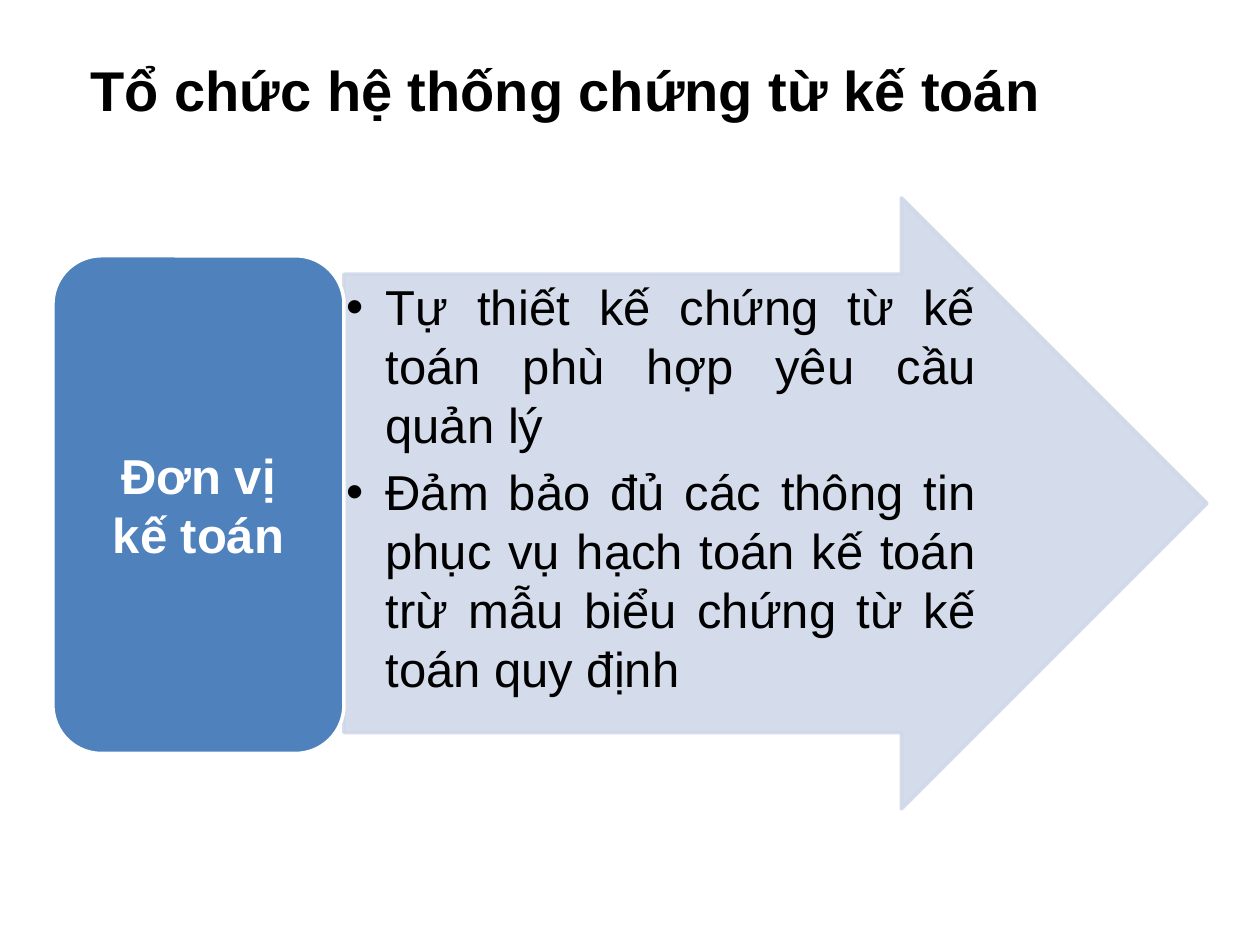
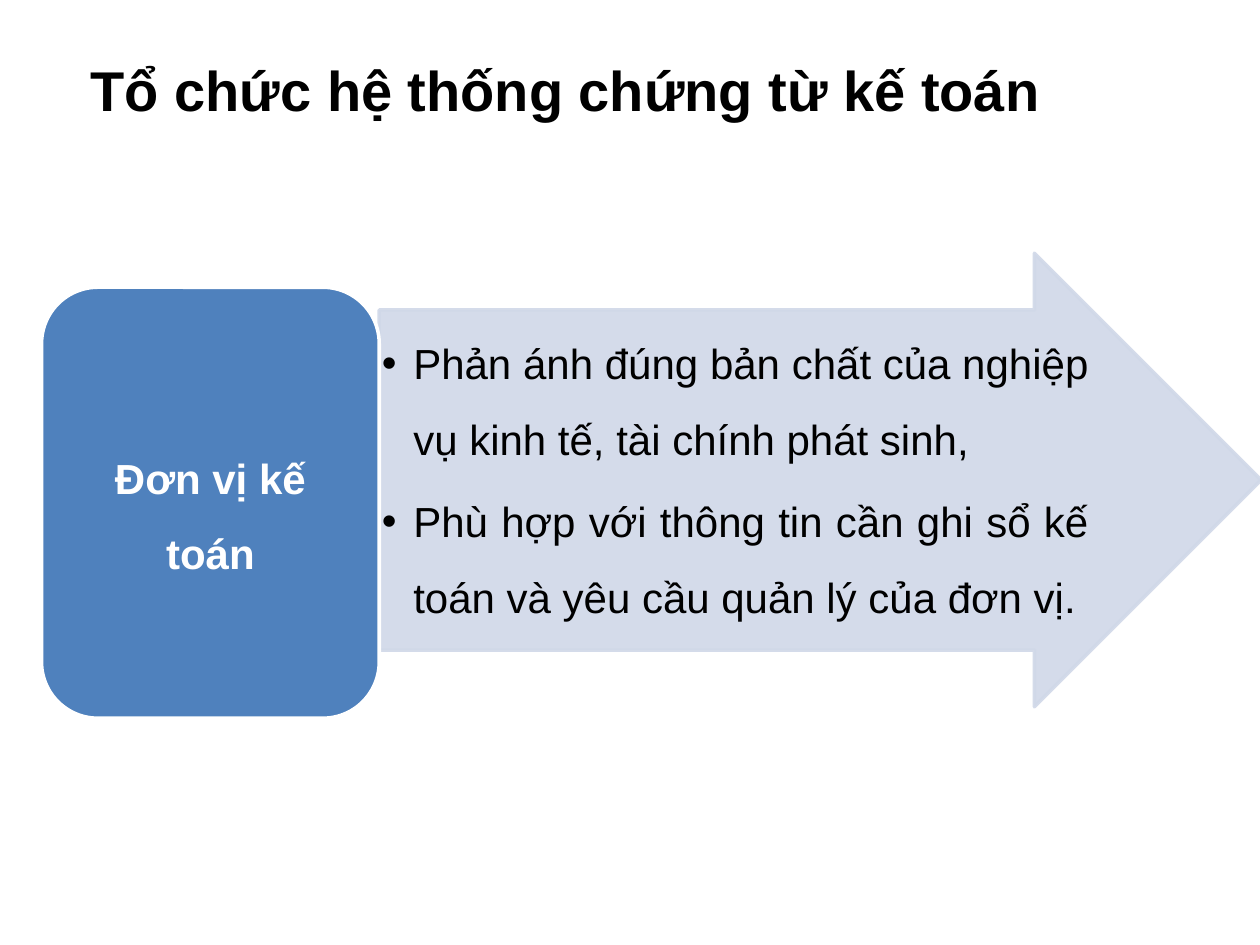
from lxml.etree import SubElement
from pptx import Presentation
from pptx.dml.color import RGBColor
from pptx.enum.shapes import MSO_SHAPE as Preset
from pptx.enum.text import MSO_ANCHOR as Anchor, MSO_AUTO_SIZE as AutoSize, PP_ALIGN as Align
from pptx.oxml.ns import qn
from pptx.util import Inches, Pt

BLACK = RGBColor(0x00, 0x00, 0x00)
WHITE = RGBColor(0xFF, 0xFF, 0xFF)
UNIT_BLUE = RGBColor(0x4F, 0x81, 0xBD)
ARROW_BLUE = RGBColor(0xD0, 0xD8, 0xE8)
FONT = "Arial"
TITLE = "Tổ chức hệ thống chứng từ kế toán"
UNIT = "Đơn vị kế toán"
LIST_INSET = 0.02


def place(shape, left, top, width, height):
    shape.left, shape.top = Inches(left), Inches(top)
    shape.width, shape.height = Inches(width), Inches(height)


def add_bullet(paragraph, indent):
    paragraph.level = 1
    properties = paragraph._p.get_or_add_pPr()
    properties.set("marL", str(Inches(indent)))
    properties.set("indent", str(-Inches(indent)))
    SubElement(properties, qn("a:buChar"), char="•")


def write(shape, lines, size, color=BLACK, bold=False, align=Align.LEFT, anchor=Anchor.TOP,
          insets=(0.1, 0.05), line_spacing=1.0, space_after=0, bullet_indent=None):
    """Fill a shape with one paragraph per line; insets are horizontal and vertical."""
    frame = shape.text_frame
    frame.word_wrap = True
    frame.auto_size = AutoSize.NONE
    frame.vertical_anchor = anchor
    frame.margin_left = frame.margin_right = Inches(insets[0])
    frame.margin_top = frame.margin_bottom = Inches(insets[1])
    for index, line in enumerate(lines):
        paragraph = frame.add_paragraph() if index else frame.paragraphs[0]
        if bullet_indent:
            add_bullet(paragraph, bullet_indent)
        paragraph.alignment = align
        paragraph.line_spacing = line_spacing
        paragraph.space_before = Pt(0)
        paragraph.space_after = Pt(space_after)
        run = paragraph.add_run()
        run.text = line
        run.font.name = FONT
        run.font.size = Pt(size)
        run.font.bold = bold
        run.font.color.rgb = color


def add_block(slide, preset, box, fill, outline):
    block = slide.shapes.add_shape(preset, *map(Inches, box))
    block.shadow.inherit = False
    block.fill.solid()
    block.fill.fore_color.rgb = fill
    block.line.color.rgb = outline
    block.line.width = Pt(2)
    return block


def add_arrow(slide, box):
    arrow = add_block(slide, Preset.RIGHT_ARROW, box, ARROW_BLUE, ARROW_BLUE)
    arrow.adjustments[0], arrow.adjustments[1] = 0.75, 0.5
    for color in arrow._element.spPr.iter(qn("a:srgbClr")):
        SubElement(color, qn("a:alpha"), val="90000")


def add_duties_slide(deck, duties, unit_box, arrow_box, size, indent, line_spacing, space_after):
    """Add a slide where the unit box points to its duties, listed in an arrow."""
    slide = deck.slides.add_slide(deck.slide_layouts[1])
    title, duty_list = slide.placeholders
    place(title, 0.62, 0.39, 8.16, 0.64)
    write(title, [TITLE], 32, bold=True)

    add_arrow(slide, arrow_box)
    left, top, width, height = arrow_box
    # The list fills the arrow's shaft and ends a quarter of the height into the head.
    place(duty_list, left, top + height / 8, width - height * 3 / 8, height * 3 / 4)
    slide.shapes._spTree.append(duty_list._element)
    write(duty_list, duties, size, align=Align.JUSTIFY, insets=(LIST_INSET, LIST_INSET),
          line_spacing=line_spacing, space_after=space_after, bullet_indent=indent)

    unit = add_block(slide, Preset.ROUNDED_RECTANGLE, unit_box, UNIT_BLUE, WHITE)
    write(unit, [UNIT], size, WHITE, bold=True, align=Align.CENTER, anchor=Anchor.MIDDLE,
          insets=(0.23, 0.17), line_spacing=line_spacing)


def main():
    deck = Presentation()
    deck.slide_width, deck.slide_height = Inches(10), Inches(7.5)
    add_duties_slide(
        deck,
        ["Tự thiết kế chứng từ kế toán phù hợp yêu cầu quản lý",
         "Đảm bảo đủ các thông tin phục vụ hạch toán kế toán trừ mẫu biểu chứng từ kế toán quy định"],
        unit_box=(0.42, 2.03, 2.31, 3.95), arrow_box=(2.73, 1.57, 6.85, 4.85),
        size=28, indent=0.31, line_spacing=1.0, space_after=5)
    add_duties_slide(
        deck,
        ["Phản ánh đúng bản chất của nghiệp vụ kinh tế, tài chính phát sinh,",
         "Phù hợp với thông tin cần ghi sổ kế toán và yêu cầu quản lý của đơn vị."],
        unit_box=(0.33, 2.28, 2.68, 3.42), arrow_box=(3.01, 2.01, 7, 3.6),
        size=24, indent=0.25, line_spacing=1.5, space_after=4)
    deck.save("out.pptx")


if __name__ == "__main__":
    main()
